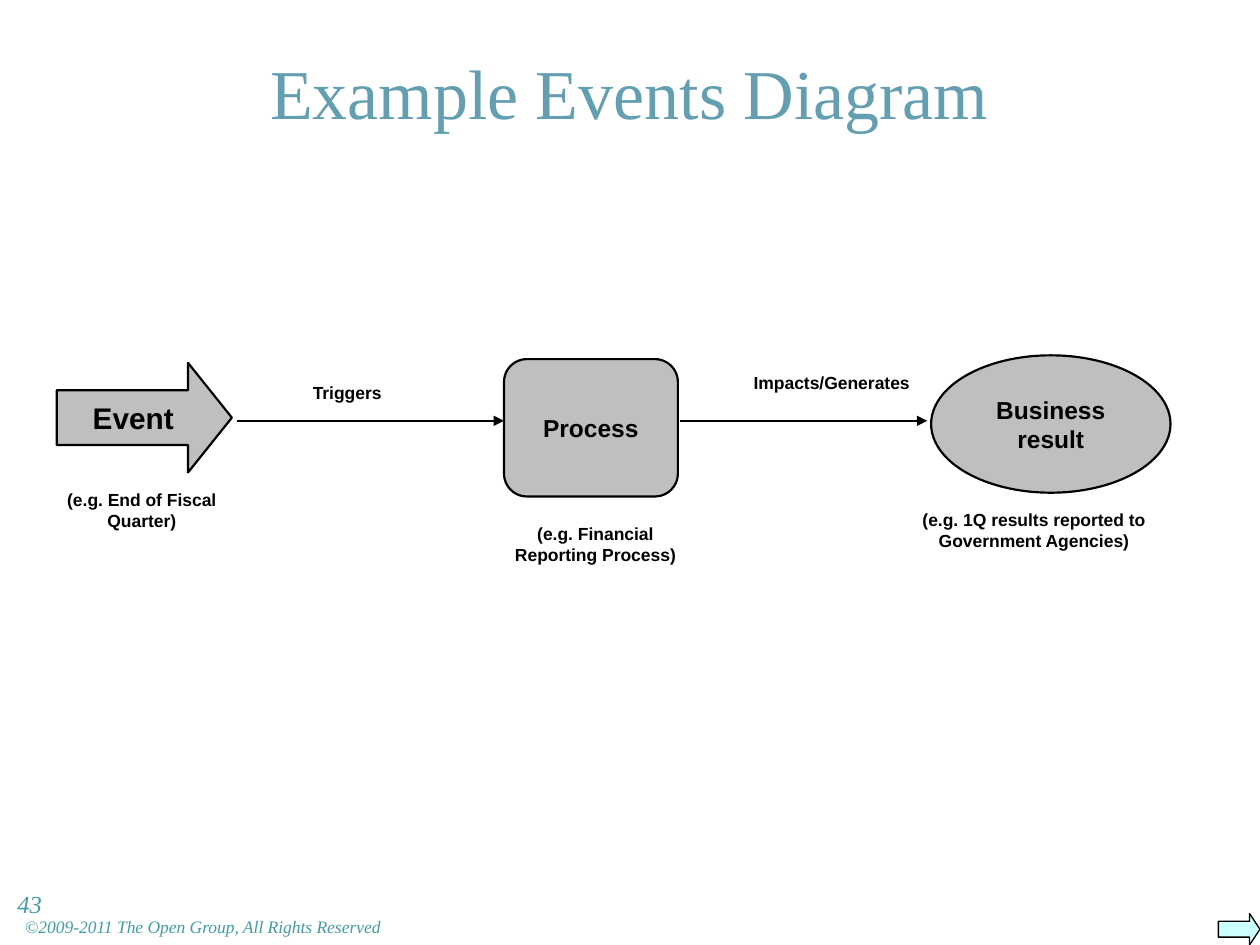
import pptx
import pptx.dml.color
import pptx.enum.shapes
import pptx.enum.text
import pptx.oxml.ns
import pptx.oxml.xmlchemy
import pptx.util

RGBColor = pptx.dml.color.RGBColor
Shapes = pptx.enum.shapes.MSO_SHAPE
Align = pptx.enum.text.PP_ALIGN
Anchor = pptx.enum.text.MSO_ANCHOR

BLACK = RGBColor(0x00, 0x00, 0x00)
GREY = RGBColor(0xBF, 0xBF, 0xBF)
PALE_CYAN = RGBColor(0xCC, 0xFF, 0xFF)
TITLE_BLUE = RGBColor(0x63, 0x9E, 0xB1)
FOOTER_TEAL = RGBColor(0x43, 0x9C, 0xA3)

COLUMNS, ROWS = 100, 75
SLIDE_WIDTH, SLIDE_HEIGHT = pptx.util.Inches(10), pptx.util.Inches(7.5)
FLOW_ROW = 33.4


def grid(column, row):
    """Turn a grid position or extent into slide lengths."""
    return round(column * SLIDE_WIDTH / COLUMNS), round(row * SLIDE_HEIGHT / ROWS)


def box(left, top, width, height):
    return *grid(left, top), *grid(width, height)


def set_text(shape, text, size, color=BLACK, font="Arial", bold=False,
             italic=False, align=Align.CENTER, anchor=Anchor.TOP, wrap=True):
    frame = shape.text_frame
    frame.text = text
    frame.word_wrap = wrap
    frame.vertical_anchor = anchor
    paragraph = frame.paragraphs[0]
    paragraph.alignment = align
    for run in paragraph.runs:
        run.font.name = font
        run.font.size = pptx.util.Pt(size)
        run.font.bold = bold
        run.font.italic = italic
        run.font.color.rgb = color


def add_title(slide, text):
    title = slide.shapes.title
    title.left, title.top, title.width, title.height = box(2.7, -0.1, 94.5, 14.8)
    set_text(title, text, 40, TITLE_BLUE, "Times New Roman", anchor=Anchor.MIDDLE)


def add_outlined_shape(slide, kind, position, fill, line_width):
    shape = slide.shapes.add_shape(kind, *box(*position))
    shape.shadow.inherit = False
    shape.fill.solid()
    shape.fill.fore_color.rgb = fill
    shape.line.color.rgb = BLACK
    shape.line.width = pptx.util.Pt(line_width)
    return shape


def add_node(slide, kind, position, text, size, wrap=False):
    node = add_outlined_shape(slide, kind, position, GREY, 1.25)
    set_text(node, text, size, bold=True, anchor=Anchor.MIDDLE, wrap=wrap)
    return node


def add_label(slide, position, text, wrap=True):
    label = slide.shapes.add_textbox(*box(*position))
    set_text(label, text, 10, bold=True, wrap=wrap)


def add_flow_arrow(slide, start, end):
    arrow = slide.shapes.add_connector(
        pptx.enum.shapes.MSO_CONNECTOR.STRAIGHT,
        *grid(start, FLOW_ROW), *grid(end, FLOW_ROW))
    arrow.line.color.rgb = BLACK
    arrow.line.width = pptx.util.Pt(1)
    head = pptx.oxml.xmlchemy.OxmlElement("a:tailEnd")
    head.set("type", "triangle")
    properties = arrow._element.spPr
    properties.find(pptx.oxml.ns.qn("a:ln")).append(head)
    properties.append(pptx.oxml.xmlchemy.OxmlElement("a:effectLst"))


def add_footer_text(slide, position, text, size, left_margin=0.1):
    footer = slide.shapes.add_textbox(*box(*position))
    footer.text_frame.margin_left = pptx.util.Inches(left_margin)
    set_text(footer, text, size, FOOTER_TEAL, "Times New Roman",
             italic=True, align=Align.LEFT)


def main():
    presentation = pptx.Presentation()
    presentation.slide_width = SLIDE_WIDTH
    presentation.slide_height = SLIDE_HEIGHT
    slide = presentation.slides.add_slide(presentation.slide_layouts[5])

    add_title(slide, "Example Events Diagram")

    event = add_node(slide, Shapes.RIGHT_ARROW, (4.5, 28.8, 13.9, 8.7), "Event", 17)
    event.adjustments[1] = 0.4
    add_node(slide, Shapes.FLOWCHART_ALTERNATE_PROCESS,
             (40, 28.5, 13.8, 10.9), "Process", 14)
    add_node(slide, Shapes.OVAL, (73.9, 28.2, 19, 10.9),
             "Business result", 14, wrap=True)

    add_flow_arrow(slide, 18.8, 40)
    add_flow_arrow(slide, 54, 73.6)
    add_label(slide, (23.8, 29.8, 7.5, 2.7), "Triggers", wrap=False)
    add_label(slide, (54.8, 29, 22.4, 2.7), "Impacts/Generates")

    add_label(slide, (2.9, 38.3, 16.7, 4.3), "(e.g. End of Fiscal Quarter)")
    add_label(slide, (38.9, 41, 16.7, 4.3), "(e.g. Financial Reporting Process)")
    add_label(slide, (70.3, 39.9, 23.5, 4.3),
              "(e.g. 1Q results reported to Government Agencies)")

    next_arrow = add_outlined_shape(slide, Shapes.RIGHT_ARROW,
                                    (96.7, 72.5, 3.3, 2.5), PALE_CYAN, 0.75)
    next_arrow.adjustments[1] = 0.33
    add_footer_text(slide, (2, 72.2, 73.2, 2.4),
                    "©2009-2011 The Open Group, All Rights Reserved", 10, left_margin=0)
    add_footer_text(slide, (0.4, 70.1, 11.8, 5.2), "43", 14)

    presentation.save("out.pptx")


if __name__ == "__main__":
    main()
